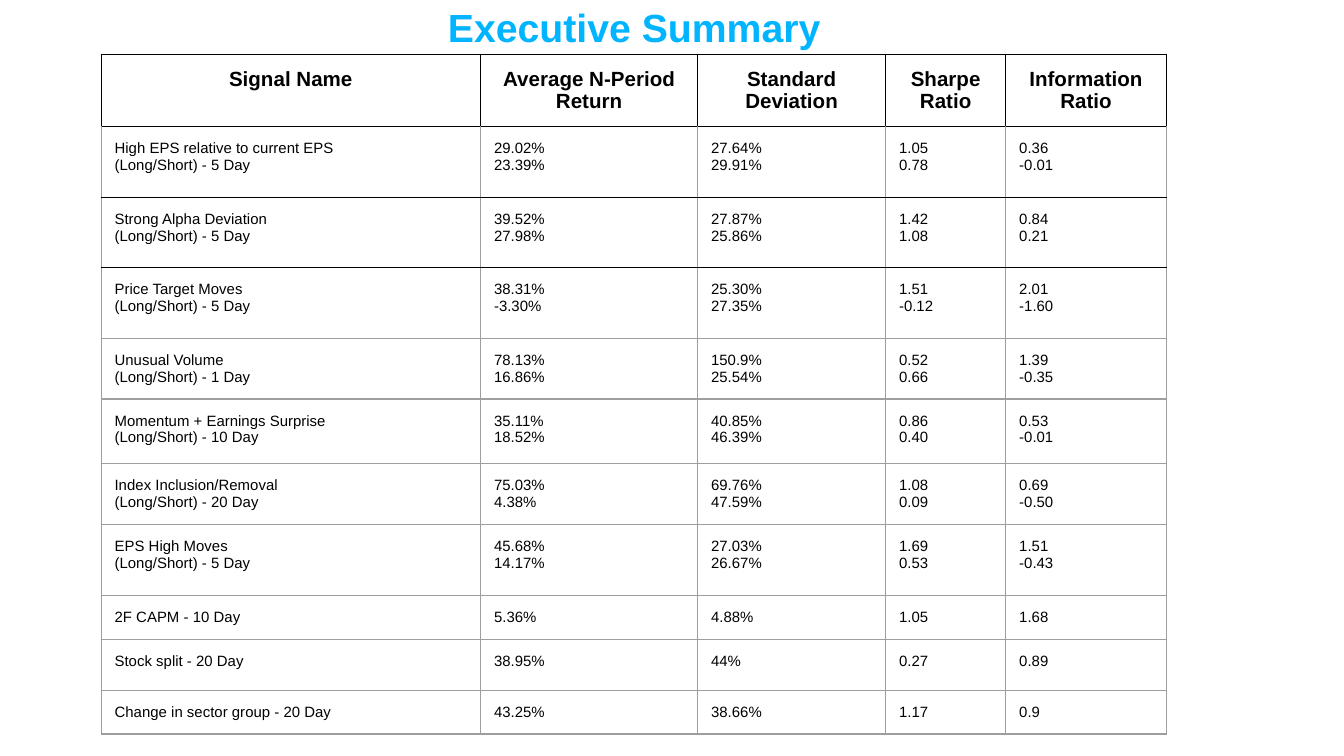
from dataclasses import dataclass
from typing import Any

from lxml import etree
from pptx import Presentation
from pptx.dml.color import RGBColor
from pptx.enum.text import MSO_ANCHOR, MSO_AUTO_SIZE, PP_ALIGN
from pptx.oxml.ns import qn
from pptx.util import Pt

CENTER, LEFT = PP_ALIGN.CENTER, PP_ALIGN.LEFT
TOP = MSO_ANCHOR.TOP
NO_AUTOFIT = MSO_AUTO_SIZE.NONE


@dataclass(frozen=True)
class Theme:
    font: str = "Arial"
    accent: str = "00B4FF"
    ink: str = "000000"
    grid: str = "9E9E9E"
    title_size: float = 21
    header_size: float = 11
    body_size: float = 8
    inset: float = 7.2
    border: float = 0.75


@dataclass(frozen=True)
class Signal:
    name: str
    figures: tuple[str, ...]
    height: float
    top: str
    bottom: str


THEME = Theme()
INK, GRID = THEME.ink, THEME.grid
HEADINGS = (
    "Signal Name",
    "Average N-Period Return",
    "Standard Deviation",
    "Sharpe Ratio",
    "Information Ratio",
)
HEADER_HEIGHT = 37.8
COLUMN_WIDTHS = (203.3, 116.3, 100.7, 64.4, 86)
SIGNALS = (
    Signal("High EPS relative to current EPS\n(Long/Short) - 5 Day",
           ("29.02%\n23.39%", "27.64%\n29.91%", "1.05\n0.78", "0.36\n-0.01"), 37.8, INK, INK),
    Signal("Strong Alpha Deviation\n(Long/Short) - 5 Day",
           ("39.52%\n27.98%", "27.87%\n25.86%", "1.42\n1.08", "0.84\n0.21"), 37.8, INK, INK),
    Signal("Price Target Moves\n(Long/Short) - 5 Day",
           ("38.31%\n-3.30%", "25.30%\n27.35%", "1.51\n-0.12", "2.01\n-1.60"), 37.8, INK, GRID),
    Signal("Unusual Volume\n(Long/Short) - 1 Day",
           ("78.13%\n16.86%", "150.9%\n25.54%", "0.52\n0.66", "1.39\n-0.35"), 31, GRID, GRID),
    Signal("Momentum + Earnings Surprise\n(Long/Short) - 10 Day",
           ("35.11%\n18.52%", "40.85%\n46.39%", "0.86\n0.40", "0.53\n-0.01"), 34.8, GRID, GRID),
    Signal("Index Inclusion/Removal\n(Long/Short) - 20 Day",
           ("75.03%\n4.38%", "69.76%\n47.59%", "1.08\n0.09", "0.69\n-0.50"), 32, GRID, GRID),
    Signal("EPS High Moves\n(Long/Short) - 5 Day",
           ("45.68%\n14.17%", "27.03%\n26.67%", "1.69\n0.53", "1.51\n-0.43"), 38, GRID, GRID),
    Signal("2F CAPM - 10 Day", ("5.36%", "4.88%", "1.05", "1.68"), 20, GRID, GRID),
    Signal("Stock split - 20 Day", ("38.95%", "44%", "0.27", "0.89"), 27.4, GRID, GRID),
    Signal("Change in sector group - 20 Day",
           ("43.25%", "38.66%", "1.17", "0.9"), 19.5, GRID, GRID),
)


def apply_format(target: Any, values: dict[str, Any]) -> None:
    for attribute, value in values.items():
        setattr(target, attribute, value)


def write_text(frame: Any, text: str, size: float, color: str, bold: bool, align: Any) -> None:
    frame.text = text
    for paragraph in frame.paragraphs:
        paragraph.alignment = align
        for run in paragraph.runs:
            apply_format(run.font, {"name": THEME.font, "size": Pt(size), "bold": bold})
            run.font.color.rgb = RGBColor.from_string(color)


def draw_borders(cell: Any, sides: dict[str, str]) -> None:
    properties = cell._tc.get_or_add_tcPr()
    for position, (side, color) in enumerate(sides.items()):
        line = etree.Element(qn(f"a:ln{side}"), w=str(Pt(THEME.border)))
        fill = etree.SubElement(line, qn("a:solidFill"))
        etree.SubElement(fill, qn("a:srgbClr"), val=color)
        properties.insert(position, line)


def draw_row(cells: Any, texts: tuple[str, ...], size: float, bold: bool, align: Any,
             sides: dict[str, str]) -> None:
    margins = {f"margin_{side}": Pt(THEME.inset) for side in ("left", "top", "right", "bottom")}
    for cell, text in zip(cells, texts):
        write_text(cell.text_frame, text, size, INK, bold, align)
        apply_format(cell, {**margins, "vertical_anchor": TOP})
        cell.fill.background()
        draw_borders(cell, sides)


def draw_title(title: Any) -> None:
    apply_format(title, {"left": Pt(4.3), "top": Pt(-7.2), "width": Pt(671), "height": Pt(28.8)})
    apply_format(title.text_frame, {
        "margin_left": Pt(THEME.inset),
        "margin_top": Pt(9),
        "margin_right": Pt(THEME.inset),
        "margin_bottom": Pt(THEME.inset),
        "vertical_anchor": TOP,
        "auto_size": NO_AUTOFIT,
        "word_wrap": True,
    })
    write_text(title.text_frame, "Executive Summary", THEME.title_size, THEME.accent, True, CENTER)


def draw_signal_table(slide: Any) -> None:
    heights = (HEADER_HEIGHT, *(signal.height for signal in SIGNALS))
    table = slide.shapes.add_table(
        len(heights), len(HEADINGS), Pt(54.2), Pt(29),
        Pt(sum(COLUMN_WIDTHS)), Pt(sum(heights))).table
    apply_format(table, {"first_row": False, "horz_banding": False})
    for column, width in zip(table.columns, COLUMN_WIDTHS):
        column.width = Pt(width)
    for row, height in zip(table.rows, heights):
        row.height = Pt(height)
    header, *body = table.rows
    draw_row(header.cells, HEADINGS, THEME.header_size, True, CENTER,
             dict.fromkeys("LRTB", INK))
    for row, signal in zip(body, SIGNALS):
        draw_row(row.cells, (signal.name, *signal.figures), THEME.body_size, False, LEFT,
                 {"L": GRID, "R": GRID, "T": signal.top, "B": signal.bottom})


def main() -> None:
    presentation = Presentation()
    apply_format(presentation, {"slide_width": Pt(720), "slide_height": Pt(405)})
    slide = presentation.slides.add_slide(presentation.slide_layouts[5])
    draw_title(slide.shapes.title)
    draw_signal_table(slide)
    presentation.save("out.pptx")


if __name__ == "__main__":
    main()
